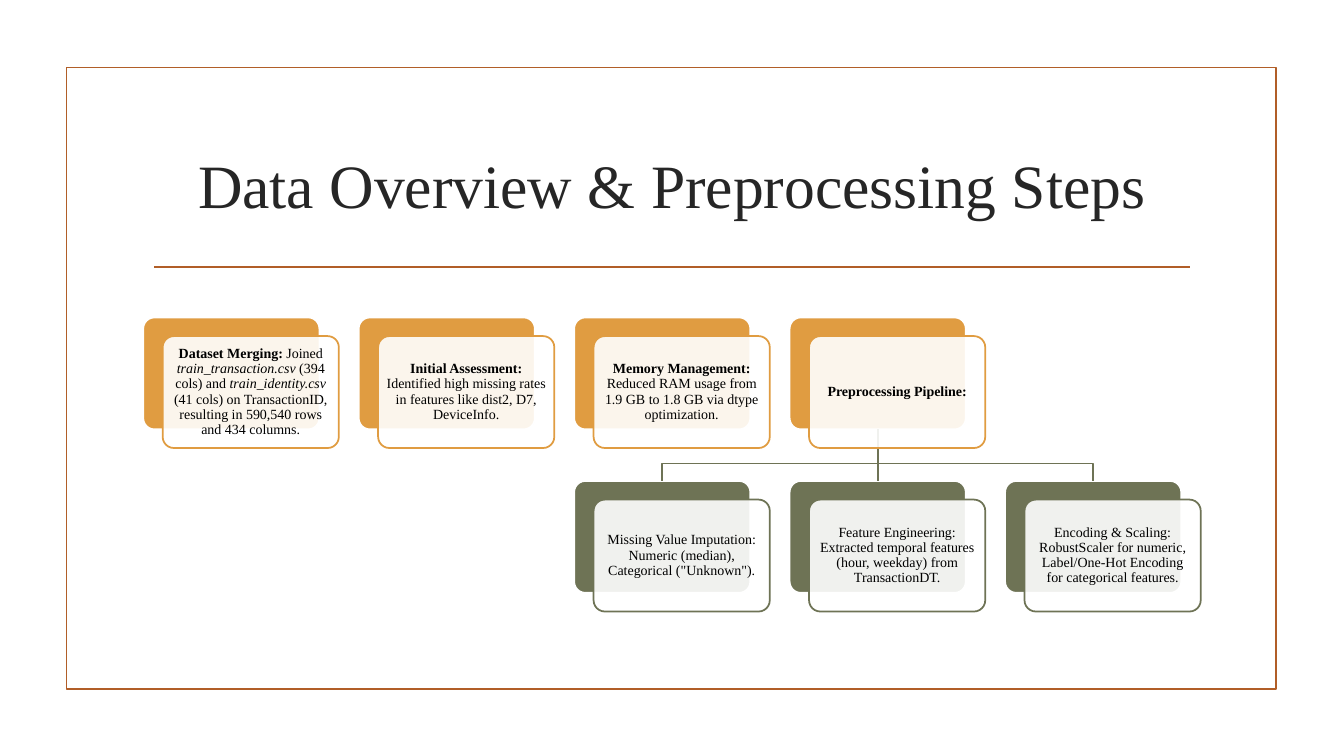
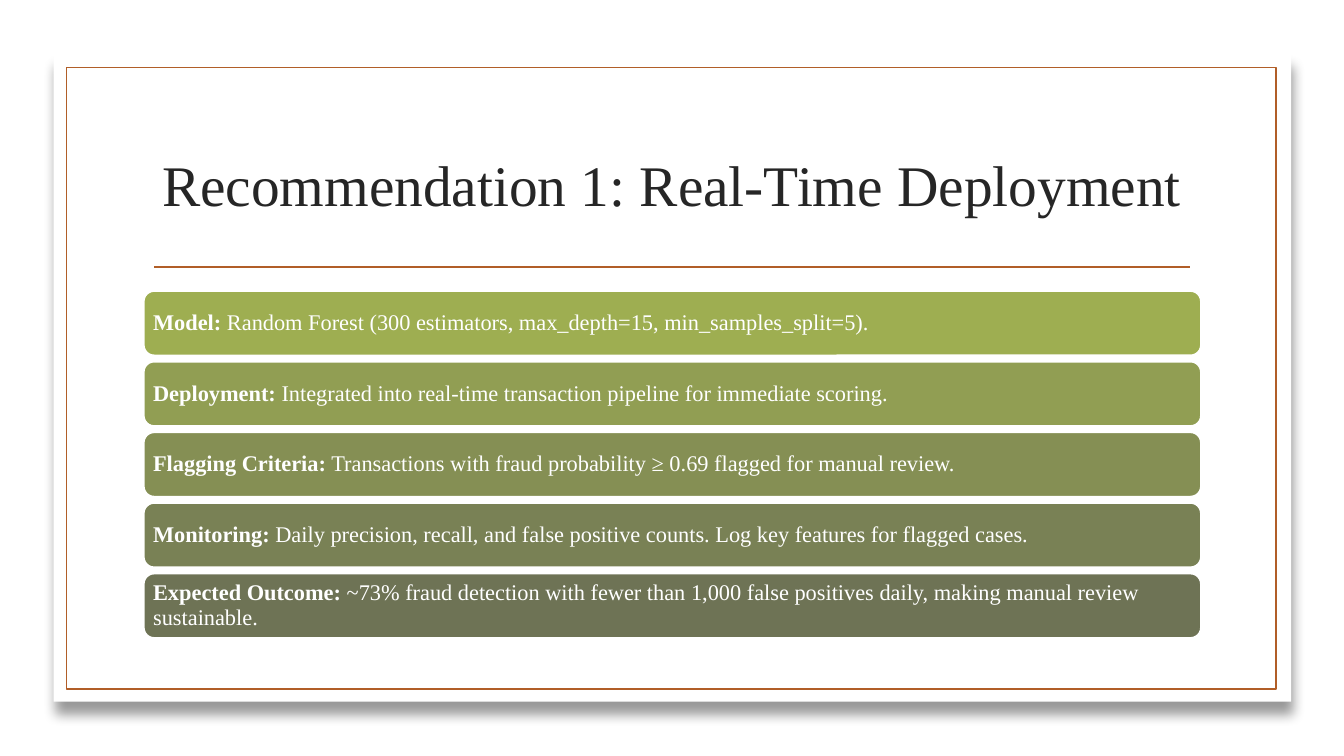
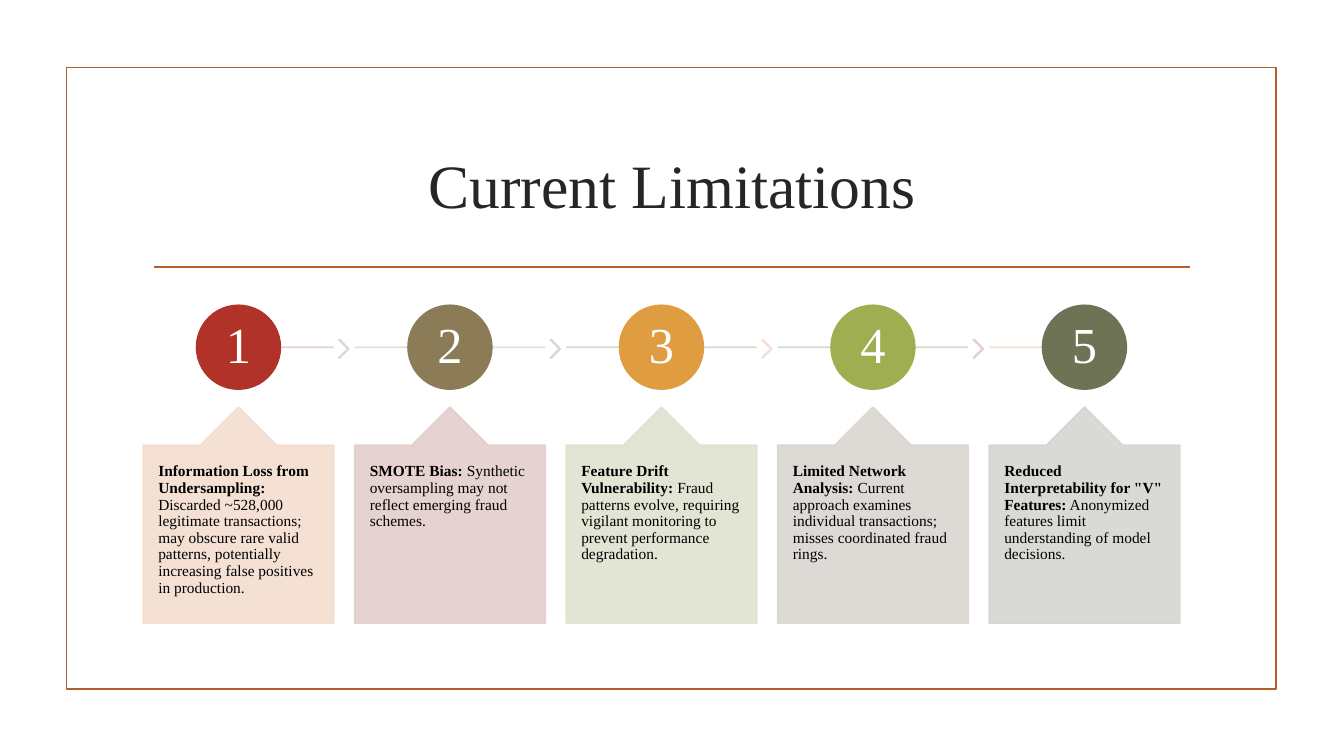
from lxml import etree
from pptx import Presentation
from pptx import util as u
from pptx.dml.color import RGBColor
from pptx.enum import shapes, text
from pptx.oxml.ns import qn

FONT = "Times New Roman"
RUST, INK, BLACK, WHITE = "B15E28", "262626", "000000", "FFFFFF"
AMBER, OLIVE = "E09C41", "6E7355"
SHAPE, ALIGN = shapes.MSO_SHAPE, text.PP_ALIGN
LEFT = 3.61

# Content: runs are (text, style), where style is b, i or empty
STEPS = [
    [("Dataset Merging:", "b"), (" Joined ", ""), ("train_transaction.csv", "i"),
     (" (394 cols) and ", ""), ("train_identity.csv ", "i"),
     ("(41 cols) on TransactionID, resulting in 590,540 rows and 434 columns.", "")],
    [("Initial Assessment:", "b"),
     (" Identified high missing rates in features like dist2, D7, DeviceInfo.", "")],
    [("Memory Management:", "b"),
     (" Reduced RAM usage from 1.9 GB to 1.8 GB via dtype optimization.", "")],
    [("Preprocessing Pipeline:", "b")],
]
PIPELINE = [
    [('Missing Value Imputation: Numeric (median), Categorical ("Unknown").', "")],
    [("Feature Engineering: Extracted temporal features (hour, weekday) from TransactionDT.", "")],
    [("Encoding & Scaling: RobustScaler for numeric, Label/One-Hot Encoding for "
      "categorical features.", "")],
]
DEPLOYMENT = [
    ("9EAE51", "Model:", " Random Forest (300 estimators, max_depth=15, min_samples_split=5)."),
    ("919E53", "Deployment:",
     " Integrated into real-time transaction pipeline for immediate scoring."),
    ("858F54", "Flagging Criteria:",
     " Transactions with fraud probability ≥ 0.69 flagged for manual review."),
    ("798155", "Monitoring:",
     " Daily precision, recall, and false positive counts. Log key features for flagged cases."),
    (OLIVE, "Expected Outcome:",
     " ~73% fraud detection with fewer than 1,000 false positives daily, "
     "making manual review sustainable."),
]
# Circle, line, chevron and callout colours, then heading and body
LIMITATIONS = [
    ("B13228", "E4CECD", "DAD7D1", "F3DECF", "Information Loss from Undersampling:",
     " Discarded ~528,000 legitimate transactions; may obscure rare valid patterns, "
     "potentially increasing false positives in production."),
    ("8B7B56", "DFE3D0", "D5D5D1", "E4CECD", "SMOTE Bias:",
     " Synthetic oversampling may not reflect emerging fraud schemes."),
    (AMBER, "DAD7D1", "F3DECF", "DFE3D0", "Feature Drift Vulnerability:",
     " Fraud patterns evolve, requiring vigilant monitoring to prevent performance degradation."),
    ("9EAE51", "D5D5D1", "E4CECD", "DAD7D1", "Limited Network Analysis:",
     " Current approach examines individual transactions; misses coordinated fraud rings."),
    (OLIVE, "F3DECF", None, "D5D5D1", 'Reduced Interpretability for "V" Features:',
     " Anonymized features limit understanding of model decisions."),
]


# Helpers
def rgb(code):
    return RGBColor.from_string(code)


def fade(element, percent=90):
    for clr in element.iter(qn("a:srgbClr")):
        etree.SubElement(clr, qn("a:alpha"), val=str(percent * 1000))


def box(s, preset, x, y, w, h, fill=None, line=None, width=1.25, adj=()):
    sp = s.shapes.add_shape(preset, u.Cm(x), u.Cm(y), u.Cm(w), u.Cm(h))
    sp.shadow.inherit = False
    for i, value in enumerate(adj):
        sp.adjustments[i] = value
    if fill:
        sp.fill.solid()
        sp.fill.fore_color.rgb = rgb(fill)
    else:
        sp.fill.background()
    if line:
        sp.line.color.rgb = rgb(line)
        sp.line.width = u.Pt(width)
    else:
        sp.line.fill.background()
    return sp


def write(sp, runs, size, color, align=ALIGN.LEFT, anchor=text.MSO_ANCHOR.MIDDLE,
          inset=(0, 0), spacing=0.9):
    tf = sp.text_frame
    tf.word_wrap = True
    tf.vertical_anchor = anchor
    tf.margin_left = tf.margin_right = u.Cm(inset[0])
    tf.margin_top = tf.margin_bottom = u.Cm(inset[1])
    p = tf.paragraphs[0]
    p.alignment, p.line_spacing = align, spacing
    for words, style in runs:
        r = p.add_run()
        r.text = words
        r.font.name, r.font.size = FONT, u.Pt(size)
        r.font.bold, r.font.italic = style == "b", style == "i"
        r.font.color.rgb = rgb(color)


def line(s, x1, y1, x2, y2, color):
    cx = s.shapes.add_connector(shapes.MSO_CONNECTOR.STRAIGHT,
                                u.Cm(x1), u.Cm(y1), u.Cm(x2), u.Cm(y2))
    cx.line.color.rgb = rgb(color)
    cx.line.width = u.Pt(1.25)
    etree.SubElement(cx.element.spPr, qn("a:effectLst"))
    return cx


def new_slide(prs, title, size=44, panel=False):
    s = prs.slides.add_slide(prs.slide_layouts[6])
    if panel:
        sp = box(s, SHAPE.RECTANGLE, 1.35, 1.35, 31.19, 16.33, WHITE)
        effects = sp.element.spPr.find(qn("a:effectLst"))
        shadow = etree.SubElement(effects, qn("a:outerShdw"), blurRad=str(u.Pt(9)),
                                  dist=str(u.Pt(10)), dir=str(80 * 60000))
        etree.SubElement(shadow, qn("a:srgbClr"), val=BLACK)
        fade(shadow, 40)
    box(s, SHAPE.RECTANGLE, 1.68, 1.7, 30.48, 15.67, line=RUST)
    line(s, 3.89, 6.73, 30, 6.73, RUST)
    tb = s.shapes.add_textbox(u.Cm(LEFT), u.Cm(2.82), u.Cm(26.67), u.Cm(3.63))
    write(tb, [(title, "")], size, INK, ALIGN.CENTER, spacing=1)
    return s


def overview(prs):
    s = new_slide(prs, "Data Overview & Preprocessing Steps")
    w, h, step, bend = 4.44, 2.82, 5.43, 11.68
    top, low = 8, 12.12
    cards = [(LEFT + i * step, top, AMBER, runs) for i, runs in enumerate(STEPS)]
    cards += [(LEFT + (i + 2) * step, low, OLIVE, runs) for i, runs in enumerate(PIPELINE)]
    backs = [box(s, SHAPE.ROUNDED_RECTANGLE, x, y, w, h, color, WHITE, adj=[0.1])
             for x, y, color, _ in cards]

    # Branches from the pipeline card to its three parts
    root = len(STEPS) - 1
    trunk = cards[root][0] + w / 2
    for back, (x, *_) in zip(backs[root + 1:], cards[root + 1:]):
        end = x + w / 2
        if abs(end - trunk) < 0.01:
            cx = line(s, trunk, top + h, end, low, OLIVE)
            cx.begin_connect(backs[root], 2)
            cx.end_connect(back, 0)
            continue
        fb = s.shapes.build_freeform(u.Cm(trunk), u.Cm(top + h))
        fb.add_line_segments([(u.Cm(trunk), u.Cm(bend)), (u.Cm(end), u.Cm(bend)),
                              (u.Cm(end), u.Cm(low))], close=False)
        branch = fb.convert_to_shape()
        branch.shadow.inherit = False
        branch.fill.background()
        branch.line.color.rgb = rgb(OLIVE)
        branch.line.width = u.Pt(1.25)

    # Translucent text cards
    for x, y, color, runs in cards:
        sp = box(s, SHAPE.ROUNDED_RECTANGLE, x + 0.49, y + 0.47, w, h, WHITE, color, adj=[0.1])
        fade(sp.element.spPr.find(qn("a:solidFill")))
        write(sp, runs, 10, BLACK, ALIGN.CENTER, inset=(0.11, 0.11))


def recommendation(prs):
    s = new_slide(prs, "Recommendation 1: Real-Time Deployment", 41, panel=True)
    for i, (color, head, body) in enumerate(DEPLOYMENT):
        sp = box(s, SHAPE.ROUNDED_RECTANGLE, LEFT, 7.32 + i * 1.78, 26.67, 1.65,
                 color, WHITE, 2)
        write(sp, [(head, "b"), (body, "")], 16, WHITE, inset=(0.17, 0.17))


def limitations(prs):
    s = new_slide(prs, "Current Limitations")
    w, step, d, axis = 4.8, 5.33, 2.11, 8.75
    for i, (circle, rule, chevron, callout, head, body) in enumerate(LIMITATIONS):
        x = LEFT + i * step
        middle = x + w / 2
        start = middle if i == 0 else x
        end = x + w if chevron else middle
        fade(line(s, start, axis, end, axis, rule).element.spPr)
        if chevron:
            sp = box(s, SHAPE.CHEVRON, x + 4.93, 8.56, 0.25, 0.46, chevron, chevron, adj=[0.9])
            fade(sp.element.spPr)
        sp = box(s, SHAPE.OVAL, middle - d / 2, axis - d / 2, d, d, circle, circle)
        write(sp, [(str(i + 1), "")], 36, WHITE, ALIGN.CENTER)
        sp = box(s, SHAPE.UP_ARROW_CALLOUT, x, 10.26, w, 5.44, callout, callout,
                 adj=[0.5, 0.2, 0.2, 1])
        fade(sp.element.spPr)
        write(sp, [(head, "b"), (body, "")], 11, BLACK,
              anchor=text.MSO_ANCHOR.TOP, inset=(0.38, 0.46))


def main():
    prs = Presentation()
    prs.slide_width, prs.slide_height = u.Cm(33.87), u.Cm(19.05)
    overview(prs)
    recommendation(prs)
    limitations(prs)
    prs.save("out.pptx")


if __name__ == "__main__":
    main()
